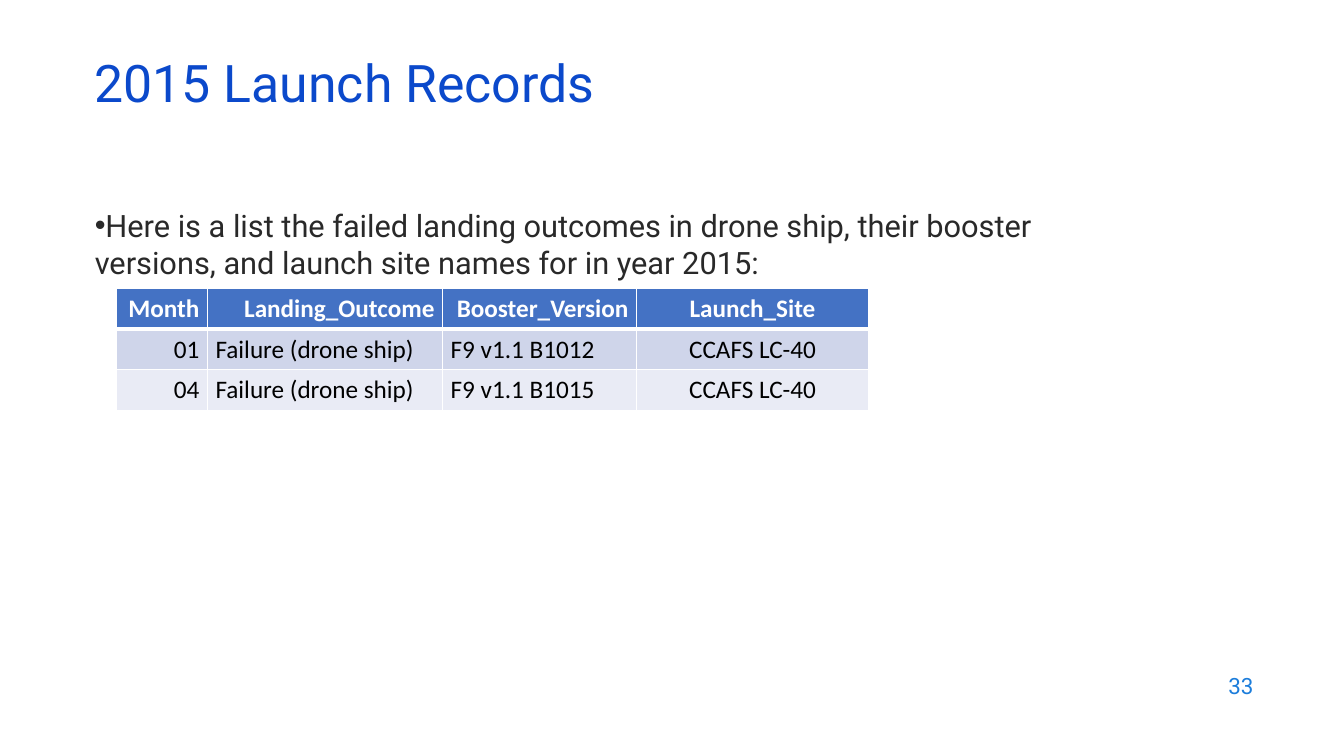
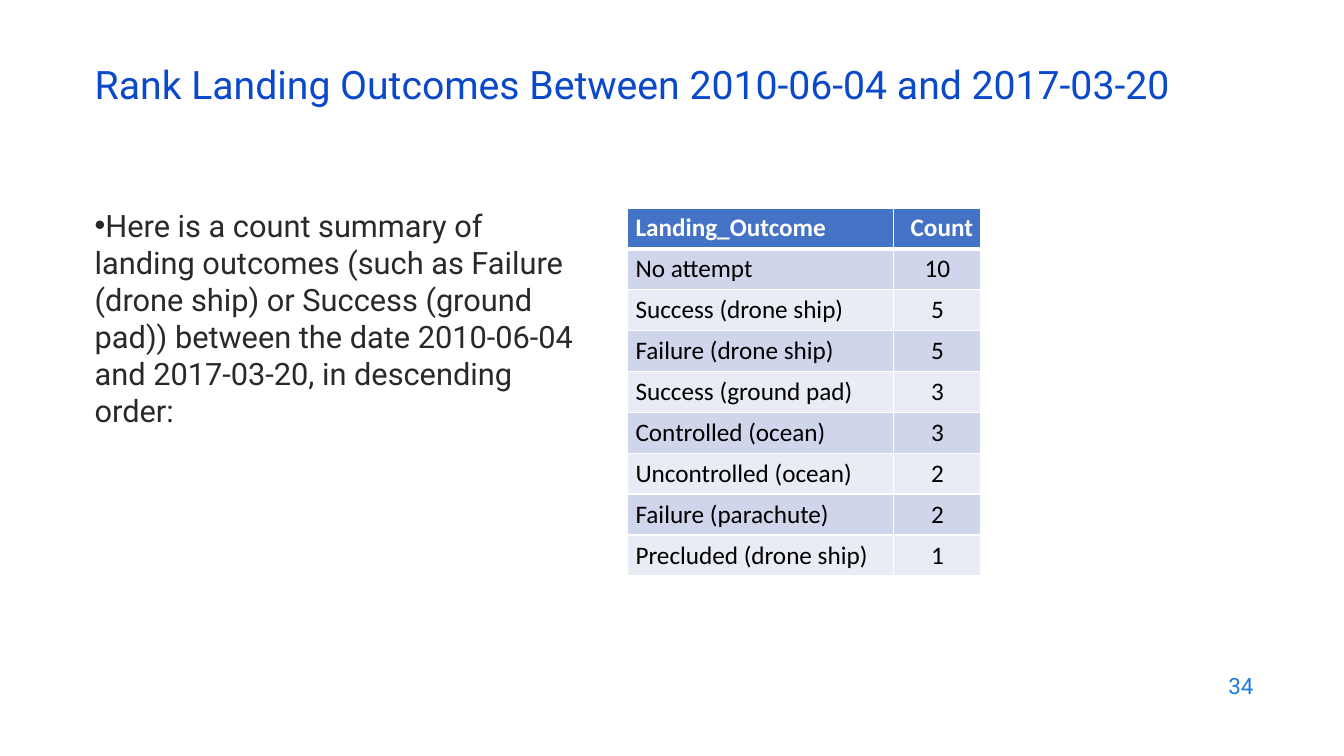
"""Build two slides of launch records, each with a title, a lead text and a table."""
from dataclasses import dataclass

from lxml import etree
from pptx import Presentation
from pptx import util as u
from pptx.dml.color import RGBColor
from pptx.enum import text
from pptx.oxml import ns

CELL = u.Pt(6)
COLUMNS, ROWS = 160, 90
MARGIN = 10.1
TABLE_ROW = 4.87

BODY_FONT, TABLE_FONT = "Roboto", "Calibri"
TITLE_BLUE, NUMBER_BLUE, INK = "0B49CB", "1C7DDB", "292929"
WHITE, BLACK, HEADER_BLUE = "FFFFFF", "000000", "4472C4"
BANDS = ("CFD5EA", "E9EBF5")

LEFT, CENTER, RIGHT = text.PP_ALIGN.LEFT, text.PP_ALIGN.CENTER, text.PP_ALIGN.RIGHT
TOP, MIDDLE = text.MSO_ANCHOR.TOP, text.MSO_ANCHOR.MIDDLE


@dataclass(frozen=True)
class TableColumn:
    heading: str
    width: float
    heading_align: text.PP_ALIGN
    align: text.PP_ALIGN


@dataclass(frozen=True)
class RecordPage:
    number: int
    title: str
    title_size: int
    lead: str
    lead_width: float
    table_at: tuple[float, float]
    columns: tuple[TableColumn, ...]
    records: tuple[tuple[str, ...], ...]


PAGES = (
    RecordPage(
        33, "2015 Launch Records", 37,
        "Here is a list the failed landing outcomes in drone ship, their booster "
        "versions, and launch site names for in year 2015:",
        128, (13.9, 34.3),
        (
            TableColumn("Month", 10.8, RIGHT, RIGHT),
            TableColumn("Landing_Outcome", 28, RIGHT, LEFT),
            TableColumn("Booster_Version", 23.1, RIGHT, LEFT),
            TableColumn("Launch_Site", 27.6, CENTER, CENTER),
        ),
        (
            ("01", "Failure (drone ship)", "F9 v1.1 B1012", "CCAFS LC-40"),
            ("04", "Failure (drone ship)", "F9 v1.1 B1015", "CCAFS LC-40"),
        ),
    ),
    RecordPage(
        34, "Rank Landing Outcomes Between 2010-06-04 and 2017-03-20", 28,
        "Here is a count summary of landing outcomes (such as Failure (drone ship) "
        "or Success (ground pad)) between the date 2010-06-04 and 2017-03-20, "
        "in descending order:",
        61, (74.7, 24.75),
        (
            TableColumn("Landing_Outcome", 31.7, LEFT, LEFT),
            TableColumn("Count", 10.4, RIGHT, CENTER),
        ),
        (
            ("No attempt", "10"),
            ("Success (drone ship)", "5"),
            ("Failure (drone ship)", "5"),
            ("Success (ground pad)", "3"),
            ("Controlled (ocean)", "3"),
            ("Uncontrolled (ocean)", "2"),
            ("Failure (parachute)", "2"),
            ("Precluded (drone ship)", "1"),
        ),
    ),
)


def grid(*cells: float) -> list[int]:
    return [round(count * CELL) for count in cells]


def colour(value: str) -> RGBColor:
    return RGBColor.from_string(value)


def write(frame, words: str, *, size: int, ink: str, font: str = BODY_FONT,
          bold: bool = False, align=LEFT, spacing: float | None = None,
          bullet: str = "") -> None:
    para = frame.paragraphs[0]
    para.alignment = align
    if spacing:
        para.line_spacing = spacing
    if bullet:
        properties = para._p.get_or_add_pPr()
        properties.set("marL", "0")
        properties.set("indent", "0")
        etree.SubElement(properties, ns.qn("a:buFont"), typeface="Arial")
        etree.SubElement(properties, ns.qn("a:buChar"), char=bullet)
    span = para.add_run()
    span.text = words
    span.font.size, span.font.name, span.font.bold = u.Pt(size), font, bold
    span.font.color.rgb = colour(ink)


def add_text(page, at: tuple[float, ...], words: str, *, anchor=MIDDLE, **style) -> None:
    frame = page.shapes.add_textbox(*grid(*at)).text_frame
    frame.word_wrap = True
    frame.vertical_anchor = anchor
    write(frame, words, **style)


def add_borders(cell, *, top: int, bottom: int) -> None:
    properties = cell._tc.get_or_add_tcPr()
    for side, width in (("L", 1), ("R", 1), ("T", top), ("B", bottom)):
        line = etree.SubElement(properties, ns.qn(f"a:ln{side}"), w=str(u.Pt(width)))
        fill = etree.SubElement(line, ns.qn("a:solidFill"))
        etree.SubElement(fill, ns.qn("a:srgbClr"), val=WHITE)


def fill_cell(cell, words: str, row: int, column: TableColumn) -> None:
    heading = row == 0
    add_borders(cell, top=3 if row == 1 else 1, bottom=3 if heading else 1)
    cell.fill.solid()
    cell.fill.fore_color.rgb = colour(HEADER_BLUE if heading else BANDS[(row - 1) % 2])
    cell.vertical_anchor = MIDDLE
    cell.margin_left = cell.margin_right = u.Inches(0.08)
    cell.margin_top = cell.margin_bottom = u.Inches(0.04)
    write(cell.text_frame, words, size=18, font=TABLE_FONT, bold=heading,
          ink=WHITE if heading else BLACK,
          align=column.heading_align if heading else column.align)


def add_records(page, record_page: RecordPage) -> None:
    columns = record_page.columns
    rows = (tuple(column.heading for column in columns), *record_page.records)
    width = sum(column.width for column in columns)
    place = grid(*record_page.table_at, width, TABLE_ROW * len(rows))
    table = page.shapes.add_table(len(rows), len(columns), *place).table
    table.first_row = table.horz_banding = False
    for index, column in enumerate(columns):
        table.columns[index].width = grid(column.width)[0]
    for row, words in enumerate(rows):
        for index, column in enumerate(columns):
            fill_cell(table.cell(row, index), words[index], row, column)


def add_page(deck, record_page: RecordPage) -> None:
    page = deck.slides.add_slide(deck.slide_layouts[6])
    add_text(page, (114.4, 79, 36, 5.3), str(record_page.number),
             size=16, ink=NUMBER_BLUE, align=RIGHT)
    add_text(page, (MARGIN, 24, record_page.lead_width, 57), record_page.lead,
             anchor=TOP, size=22, ink=INK, bullet="•")
    add_text(page, (MARGIN, 7.1, 138, 7.2), record_page.title,
             size=record_page.title_size, ink=TITLE_BLUE, spacing=0.7)
    add_records(page, record_page)


def main() -> None:
    deck = Presentation()
    deck.slide_width, deck.slide_height = grid(COLUMNS, ROWS)
    for record_page in PAGES:
        add_page(deck, record_page)
    deck.save("out.pptx")


if __name__ == "__main__":
    main()
